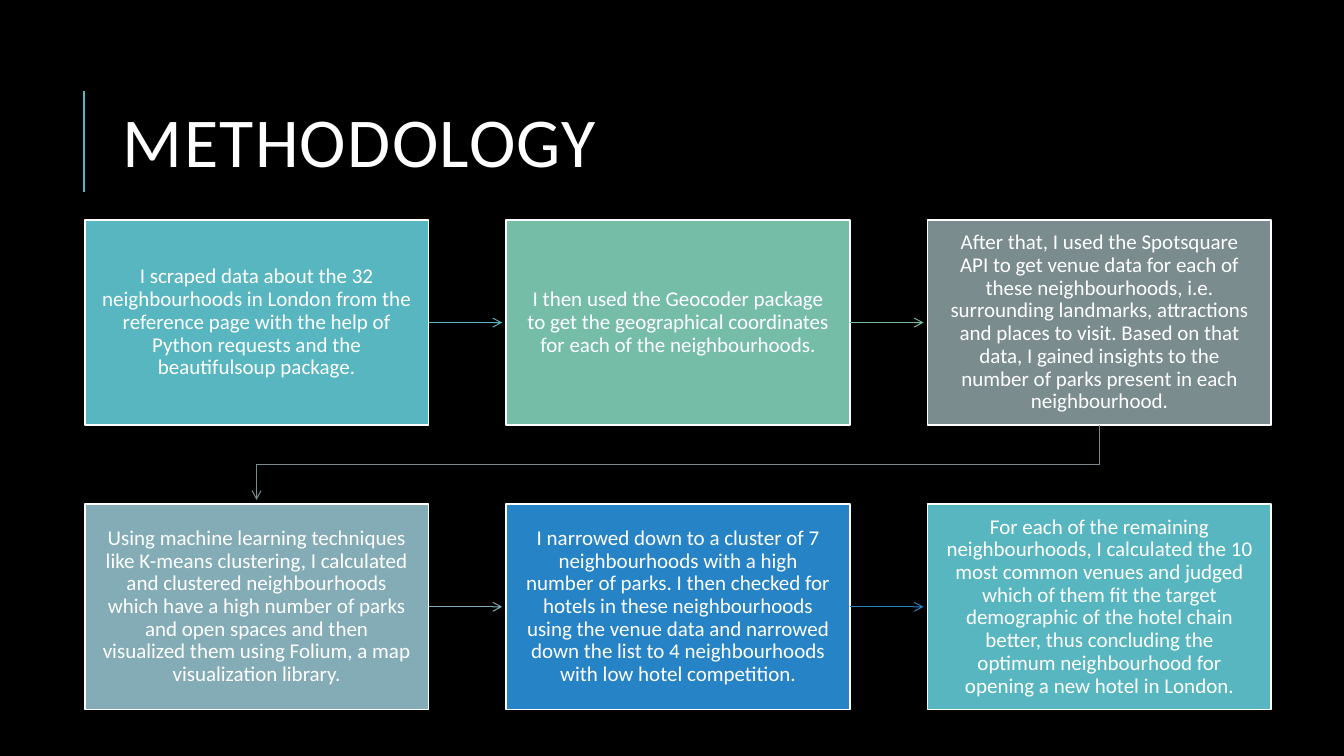
from dataclasses import dataclass

from lxml import etree
from pptx import Presentation
from pptx.dml.color import RGBColor
from pptx.enum.shapes import MSO_CONNECTOR, MSO_SHAPE
from pptx.enum.text import MSO_ANCHOR, PP_ALIGN
from pptx.oxml.ns import qn
from pptx.util import Inches, Pt

STRAIGHT = MSO_CONNECTOR.STRAIGHT
RECTANGLE = MSO_SHAPE.RECTANGLE
MIDDLE = MSO_ANCHOR.MIDDLE
LEFT, CENTER = PP_ALIGN.LEFT, PP_ALIGN.CENTER
RIGHT_SIDE = 3


@dataclass(frozen=True)
class Theme:
    font: str = "Calibri"
    background: str = "000000"
    light: str = "FFFFFF"
    teal: str = "58B6C0"
    green: str = "75BDA7"
    grey: str = "7A8C8E"
    mist: str = "84ACB6"
    blue: str = "2683C6"
    title_size: int = 50
    step_size: int = 15
    rule_width: float = 1.5
    border_width: float = 1.25
    arrow_width: float = 0.75


theme = Theme()


def write_text(box, text, *, size, align=LEFT, spacing=0.9, tracking=0, inset=0.1):
    frame = box.text_frame
    frame.word_wrap = True
    frame.vertical_anchor = MIDDLE
    frame.margin_left = frame.margin_right = Inches(inset)
    frame.margin_top = frame.margin_bottom = Inches(inset)
    para = frame.paragraphs[0]
    para.alignment = align
    para.line_spacing = spacing
    span = para.add_run()
    span.text = text
    span.font.name = theme.font
    span.font.size = Pt(size)
    span.font.color.rgb = RGBColor.from_string(theme.light)
    if tracking:
        span.font._element.set("spc", str(tracking))


def style_line(shape, color, width, arrow=False):
    shape.line.color.rgb = RGBColor.from_string(color)
    shape.line.width = Pt(width)
    properties = shape._element.spPr
    if arrow:
        etree.SubElement(properties.find(qn("a:ln")), qn("a:tailEnd"), type="arrow")
    if properties.find(qn("a:effectLst")) is None:
        etree.SubElement(properties, qn("a:effectLst"))


deck = Presentation()
deck.slide_width = Inches(13.33)
deck.slide_height = Inches(7.5)
page = deck.slides.add_slide(deck.slide_layouts[6])
page.background.fill.solid()
page.background.fill.fore_color.rgb = RGBColor.from_string(theme.background)

title_rule = page.shapes.add_connector(
    STRAIGHT, Inches(0.83), Inches(1.9), Inches(0.83), Inches(0.9)
)
style_line(title_rule, theme.teal, theme.rule_width)

title = page.shapes.add_textbox(Inches(1.12), Inches(0.64), Inches(10.63), Inches(1.64))
write_text(title, "METHODOLOGY", size=theme.title_size, spacing=0.8, tracking=100)

steps = [
    (theme.teal, "I scraped data about the 32 neighbourhoods in London from the reference page "
     "with the help of Python requests and the beautifulsoup package."),
    (theme.green, "I then used the Geocoder package to get the geographical coordinates "
     "for each of the neighbourhoods."),
    (theme.grey, "After that, I used the Spotsquare API to get venue data for each of these "
     "neighbourhoods, i.e. surrounding landmarks, attractions and places to visit. Based on "
     "that data, I gained insights to the number of parks present in each neighbourhood."),
    (theme.mist, "Using machine learning techniques like K-means clustering, I calculated and "
     "clustered neighbourhoods which have a high number of parks and open spaces and then "
     "visualized them using Folium, a map visualization library."),
    (theme.blue, "I narrowed down to a cluster of 7 neighbourhoods with a high number of parks. "
     "I then checked for hotels in these neighbourhoods using the venue data and narrowed down "
     "the list to 4 neighbourhoods with low hotel competition."),
    (theme.teal, "For each of the remaining neighbourhoods, I calculated the 10 most common "
     "venues and judged which of them fit the target demographic of the hotel chain better, "
     "thus concluding the optimum neighbourhood for opening a new hotel in London."),
]

columns = 3
grid_left, grid_top = Inches(0.84), Inches(2.18)
column_pitch, row_pitch = Inches(4.18), Inches(2.82)
step_width, step_height = Inches(3.41), Inches(2.04)
arrow_gap = Inches(0.04)

boxes = []
for index, (color, text) in enumerate(steps):
    row, column = divmod(index, columns)
    box = page.shapes.add_shape(
        RECTANGLE,
        grid_left + column * column_pitch,
        grid_top + row * row_pitch,
        step_width,
        step_height,
    )
    box.shadow.inherit = False
    box.fill.solid()
    box.fill.fore_color.rgb = RGBColor.from_string(color)
    style_line(box, theme.light, theme.border_width)
    write_text(box, text, size=theme.step_size, align=CENTER, inset=0.17)
    boxes.append(box)

for index, (color, text) in enumerate(steps[:-1]):
    start, target = boxes[index], boxes[index + 1]
    if start.top == target.top:
        middle = start.top + step_height // 2
        arrow = page.shapes.add_connector(
            STRAIGHT, start.left + step_width, middle, target.left - arrow_gap, middle
        )
        arrow.begin_connect(start, RIGHT_SIDE)
    else:
        start_x = start.left + step_width // 2
        target_x = target.left + step_width // 2
        bottom = start.top + step_height
        turn = (bottom + target.top) // 2
        outline = page.shapes.build_freeform(start_x, bottom)
        outline.add_line_segments(
            [(start_x, turn), (target_x, turn), (target_x, target.top - arrow_gap)],
            close=False,
        )
        arrow = outline.convert_to_shape()
        arrow.shadow.inherit = False
        arrow.fill.background()
    style_line(arrow, color, theme.arrow_width, arrow=True)

deck.save("out.pptx")
